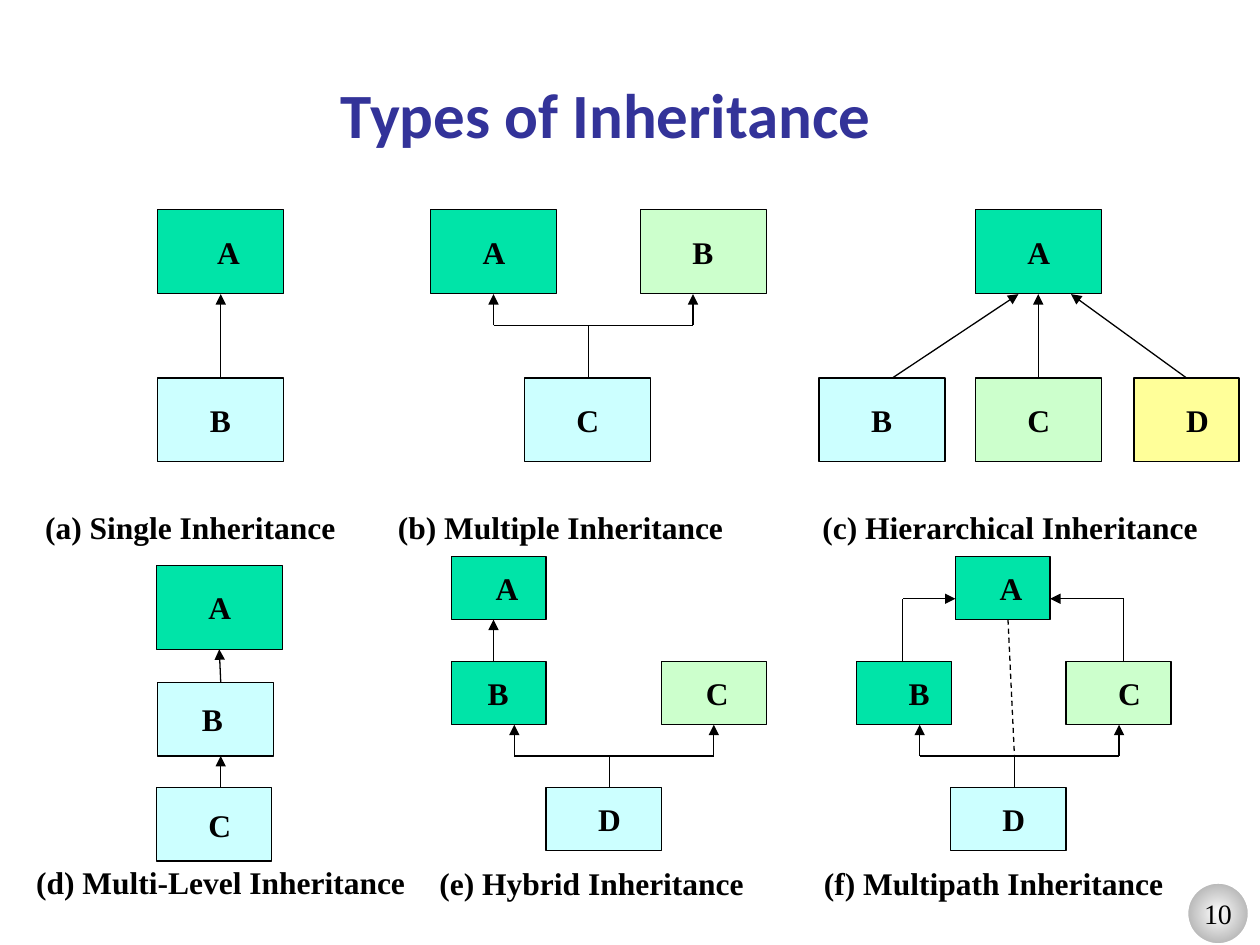
from lxml import etree
from pptx import Presentation
from pptx import util as u
from pptx.dml.color import RGBColor
from pptx.enum import dml, shapes, text
from pptx.oxml import ns

GREEN = RGBColor(0x00, 0xE4, 0xA8)
MINT = RGBColor(0xCC, 0xFF, 0xCC)
SKY = RGBColor(0xCC, 0xFF, 0xFF)
YELLOW = RGBColor(0xFF, 0xFF, 0x99)
NAVY = RGBColor(0x33, 0x33, 0x99)
BLACK = RGBColor(0, 0, 0)
WHITE = RGBColor(0xFF, 0xFF, 0xFF)
GREY = RGBColor(0x97, 0x97, 0x97)

# Box sizes and label indents; every length is in centimetres
LARGE, NARROW = (2.54, 1.69), (2.12, 1.69)
MEDIUM, FLAT = (2.33, 1.48), (2.33, 1.27)
SMALL, SHORT = (1.91, 1.27), (2.12, 1.27)
TIGHT, CLOSE, USUAL, WIDE = 0.73, 0.89, 1.05, 1.2

# boxes: label, left, top, size, fill, indent
# arrows: points of a route whose last stretch carries the arrowhead
# fork: left end of the bar, its height, length of the stem below it
PANELS = [
    {"caption": ("(a) Single Inheritance", 0.66, 10.11, 6.78),
     "boxes": [("A", 3.18, 4.23, LARGE, GREEN, WIDE),
               ("B", 3.18, 7.62, LARGE, SKY, USUAL)],
     "arrows": [[(4.45, 7.62), (4.45, 5.93)]]},
    {"caption": ("(b) Multiple Inheritance", 7.77, 10.11, 7.34),
     "boxes": [("A", 8.68, 4.23, LARGE, GREEN, USUAL),
               ("B", 12.91, 4.23, LARGE, MINT, USUAL),
               ("C", 10.57, 7.62, LARGE, SKY, USUAL)],
     "fork": (9.95, 6.56, 1.06)},
    {"caption": ("(c) Hierarchical Inheritance", 16.33, 10.11, 8.41),
     "boxes": [("A", 19.66, 4.23, LARGE, GREEN, USUAL),
               ("B", 16.51, 7.62, LARGE, SKY, USUAL),
               ("C", 19.66, 7.62, LARGE, MINT, USUAL),
               ("D", 22.86, 7.62, NARROW, YELLOW, USUAL)],
     "arrows": [[(17.99, 7.62), (20.53, 5.93)],
                [(20.93, 7.62), (20.93, 5.93)],
                [(23.92, 7.62), (21.59, 5.93)]]},
    {"caption": ("(d) Multi-Level Inheritance", 0.48, 17.27, 8.03),
     "boxes": [("A", 3.15, 11.4, LARGE, GREEN, USUAL),
               ("B", 3.18, 13.76, MEDIUM, SKY, CLOSE),
               ("C", 3.15, 15.88, MEDIUM, SKY, USUAL)],
     "arrows": [[(4.45, 13.76), (4.42, 13.09)],
                [(4.45, 15.88), (4.45, 15.24)]]},
    {"caption": ("(e) Hybrid Inheritance", 8.61, 17.3, 6.71),
     "boxes": [("A", 9.1, 11.22, SMALL, GREEN, CLOSE),
               ("B", 9.1, 13.34, SMALL, GREEN, TIGHT),
               ("C", 13.34, 13.34, SHORT, MINT, CLOSE),
               ("D", 11.01, 15.88, FLAT, SKY, USUAL)],
     "arrows": [[(9.95, 13.34), (9.95, 12.49)]],
     "fork": (10.37, 15.24, 0.64)},
    {"caption": ("(f) Multipath Inheritance", 16.36, 17.3, 7.42),
     "boxes": [("A", 19.26, 11.22, SMALL, GREEN, CLOSE),
               ("B", 17.27, 13.34, SMALL, GREEN, USUAL),
               ("C", 21.49, 13.34, SHORT, MINT, USUAL),
               ("D", 19.16, 15.88, FLAT, SKY, USUAL)],
     "arrows": [[(18.2, 13.34), (18.2, 12.07), (19.26, 12.07)],
                [(22.65, 13.34), (22.65, 12.07), (21.17, 12.07)]],
     "fork": (18.54, 15.24, 0.64),
     "dashed": ((20.32, 12.49), (20.45, 15.24))},
]
FORK_WIDTH, FORK_RISE, STEM_OFFSET = 4.02, 0.63, 1.91


def write(frame, words, size=18, bold=True, name="Times New Roman", color=BLACK):
    para = frame.paragraphs[0]
    para.text = words
    para.font.size = u.Pt(size)
    para.font.bold = bold
    para.font.name = name
    para.font.color.rgb = color
    return para


def add_box(page, label, left, top, size, fill, indent):
    box = page.shapes.add_shape(shapes.MSO_SHAPE.RECTANGLE,
                                *map(u.Cm, (left, top, *size)))
    box.shadow.inherit = False
    box.fill.solid()
    box.fill.fore_color.rgb = fill
    box.line.color.rgb = BLACK
    box.line.width = u.Pt(0.75)
    frame = box.text_frame
    frame.margin_left, frame.margin_right = u.Cm(indent), 0
    frame.vertical_anchor = text.MSO_ANCHOR.MIDDLE
    write(frame, label).alignment = text.PP_ALIGN.LEFT


def add_line(page, start, end, head=False, dashed=False):
    line = page.shapes.add_connector(shapes.MSO_CONNECTOR.STRAIGHT,
                                     *map(u.Cm, (*start, *end)))
    line.line.color.rgb = BLACK
    line.line.width = u.Pt(0.75)
    if dashed:
        line.line.dash_style = dml.MSO_LINE.DASH
    if head:
        outline = line.line._get_or_add_ln()
        etree.SubElement(outline, ns.qn("a:tailEnd"), type="triangle")
    properties = line._element.spPr
    etree.SubElement(properties, ns.qn("a:effectLst"))


def add_route(page, points):
    for step, (start, end) in enumerate(zip(points, points[1:]), 2):
        add_line(page, start, end, head=step == len(points))


def add_fork(page, left, bar, stem):
    middle, right = left + STEM_OFFSET, left + FORK_WIDTH
    add_line(page, (middle, bar + stem), (middle, bar))
    add_line(page, (left, bar), (right, bar))
    for x in (left, right):
        add_line(page, (x, bar), (x, bar - FORK_RISE), head=True)


def add_caption(page, words, left, top, width):
    box = page.shapes.add_textbox(*map(u.Cm, (left, top, width, 1)))
    box.text_frame.word_wrap = False
    write(box.text_frame, words)


def add_page_number(page, number):
    disc = page.shapes.add_shape(shapes.MSO_SHAPE.OVAL,
                                 *map(u.Cm, (23.92, 17.78, 1.27, 1.27)))
    disc.shadow.inherit = False
    disc.fill.gradient()
    for stop, color in zip(disc.fill.gradient_stops, (WHITE, GREY)):
        stop.color.rgb = color
    # Turn the linear gradient into a radial one
    linear = disc._element.spPr.find(".//" + ns.qn("a:lin"))
    radial = etree.Element(ns.qn("a:path"), path="circle")
    etree.SubElement(radial, ns.qn("a:fillToRect"),
                     l="50000", t="50000", r="50000", b="50000")
    linear.getparent().replace(linear, radial)
    disc.line.color.rgb = WHITE
    disc.line.width = u.Pt(2)
    disc.text_frame.word_wrap = False
    disc.text_frame.vertical_anchor = text.MSO_ANCHOR.MIDDLE
    para = write(disc.text_frame, number, size=16, bold=False)
    para.alignment = text.PP_ALIGN.CENTER


def main():
    deck = Presentation()
    deck.slide_width, deck.slide_height = u.Cm(25.4), u.Cm(19.05)
    page = deck.slides.add_slide(deck.slide_layouts[5])
    add_page_number(page, "10")

    # Title
    title = page.shapes.title
    title.left, title.top, title.width, title.height = map(
        u.Cm, (0, 0.43, 24.43, 2.74))
    title.text_frame.vertical_anchor = text.MSO_ANCHOR.BOTTOM
    para = write(title.text_frame, "Types of Inheritance", 36, True, "Calibri", NAVY)
    para.alignment = text.PP_ALIGN.CENTER

    # Six inheritance diagrams
    for panel in PANELS:
        for box in panel["boxes"]:
            add_box(page, *box)
        for points in panel.get("arrows", []):
            add_route(page, points)
        if "fork" in panel:
            add_fork(page, *panel["fork"])
        if "dashed" in panel:
            add_line(page, *panel["dashed"], dashed=True)
        add_caption(page, *panel["caption"])

    deck.save("out.pptx")


if __name__ == "__main__":
    main()
